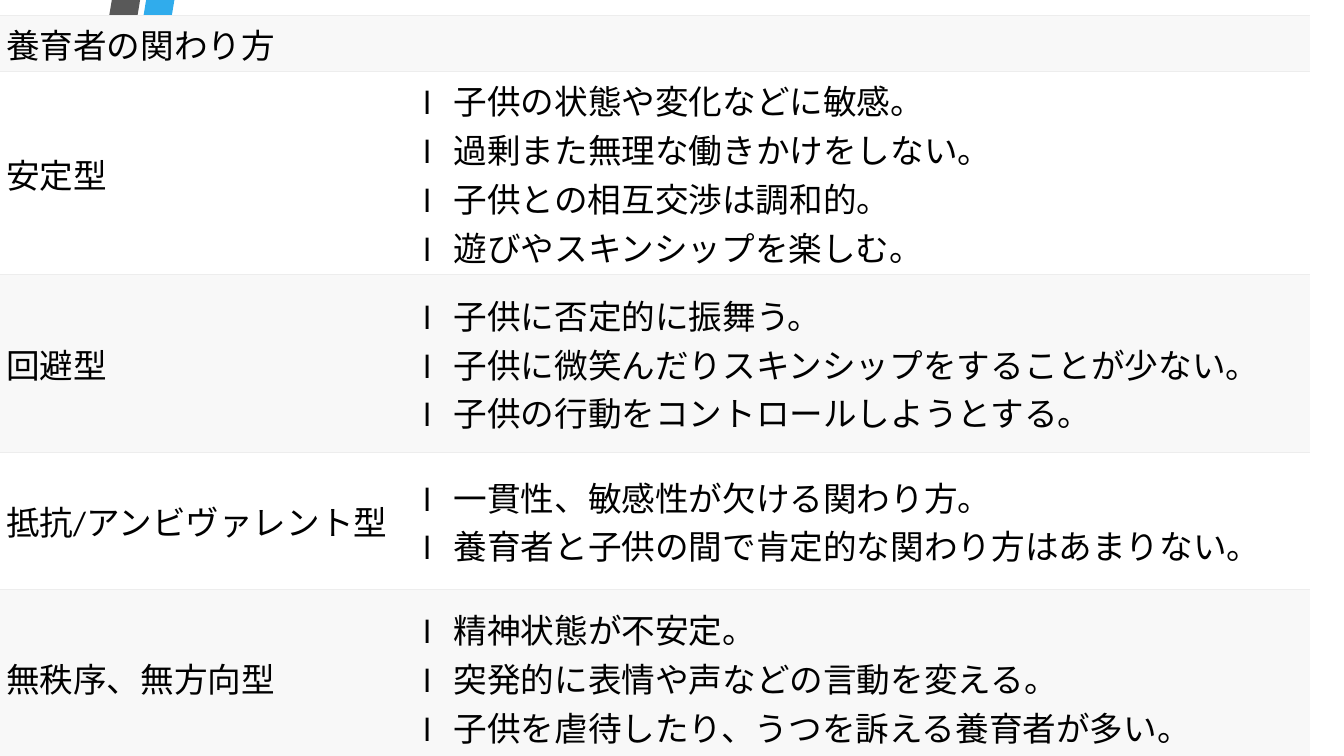
from dataclasses import dataclass

from lxml.etree import SubElement
from pptx import Presentation
from pptx.dml.color import RGBColor
from pptx.enum.lang import MSO_LANGUAGE_ID
from pptx.enum.text import MSO_ANCHOR
from pptx.oxml.ns import qn
from pptx.util import Inches, Pt


@dataclass(frozen=True)
class Theme:
    """Colours, font and sizes of the slide."""
    font: str = "Calibri"
    size: float = 24
    text: str = "000000"
    bands: tuple = ("F8F8F8", "FFFFFF")
    rule: str = "EDEDED"
    rule_width: float = 0.75
    end_rule: str = "008BE5"
    end_rule_width: float = 3.75
    light_blue: str = "30ACEC"
    blue: str = "1287C3"
    dark_blue: str = "0C5A82"
    light_grey: str = "595959"
    grey: str = "404040"
    dark_grey: str = "262626"


THEME = Theme()
WIDTH, HEIGHT = Inches(13.33), Inches(7.5)
GRID_COLUMNS, GRID_ROWS = 1333, 750
BULLET_INDENT = 30
TABLE_COLUMNS = (414, 885)
TABLE_ROWS = (56, 176, 176, 136, 176)

RIBBONS = (
    (THEME.light_blue, ((50, 578), (77, 583), (173, 0), (145, 0))),
    (THEME.light_grey, ((139, 0), (111, 0), (16, 573), (44, 577))),
    (THEME.dark_grey, ((16, 573), (145, 750), (151, 750))),
    (THEME.dark_blue, ((50, 579), (208, 750), (214, 750))),
    (THEME.blue, ((50, 579), (214, 750), (283, 750), (77, 583), (50, 578))),
    (THEME.grey, ((202, 750), (48, 583), (43, 578), (44, 577), (16, 573), (151, 750))),
)

TITLE = "養育者の関わり方"
TYPES = (
    ("安定型", ("子供の状態や変化などに敏感。", "過剰また無理な働きかけをしない。",
             "子供との相互交渉は調和的。", "遊びやスキンシップを楽しむ。")),
    ("回避型", ("子供に否定的に振舞う。", "子供に微笑んだりスキンシップをすることが少ない。",
             "子供の行動をコントロールしようとする。")),
    ("抵抗/アンビヴァレント型", ("一貫性、敏感性が欠ける関わり方。",
                      "養育者と子供の間で肯定的な関わり方はあまりない。")),
    ("無秩序、無方向型", ("精神状態が不安定。", "突発的に表情や声などの言動を変える。",
                  "子供を虐待したり、うつを訴える養育者が多い。")),
)


def across(columns):
    """Return the length of a number of grid columns."""
    return round(WIDTH * columns / GRID_COLUMNS)


def down(rows):
    """Return the length of a number of grid rows."""
    return round(HEIGHT * rows / GRID_ROWS)


def write_text(paragraph, text, *, size=THEME.size, color=THEME.text, indent=0,
               language=MSO_LANGUAGE_ID.JAPANESE):
    """Write one formatted run, with a hanging indent if asked."""
    run = paragraph.add_run()
    run.text = text
    run.font.name = THEME.font
    run.font.size = Pt(size)
    run.font.color.rgb = RGBColor.from_string(color)
    run.font.language_id = language
    if indent:
        properties = paragraph._p.get_or_add_pPr()
        properties.set("marL", str(across(indent)))
        properties.set("indent", str(-across(indent)))


def add_ribbon(slide, color, corners):
    """Draw one flat polygon of the folded ribbons."""
    points = [(across(x), down(y)) for x, y in corners]
    builder = slide.shapes.build_freeform(*points[0], scale=1.0)
    builder.add_line_segments(points[1:], close=True)
    shape = builder.convert_to_shape()
    shape.shadow.inherit = False
    shape.fill.solid()
    shape.fill.fore_color.rgb = RGBColor.from_string(color)
    shape.line.fill.background()


def add_border(cell, side, color=None, width=0):
    """Set one border of a cell, or clear it when no colour is given."""
    line = SubElement(cell._tc.get_or_add_tcPr(), qn(f"a:ln{side}"), w=str(Pt(width)))
    if color:
        fill = SubElement(line, qn("a:solidFill"))
        SubElement(fill, qn("a:srgbClr"), val=color)
    else:
        SubElement(line, qn("a:noFill"))


def style_cell(cell, band, last):
    """Give a cell its margins, borders and band colour."""
    cell.vertical_anchor = MSO_ANCHOR.MIDDLE
    cell.margin_left, cell.margin_right = across(6), across(7)
    cell.margin_top = cell.margin_bottom = down(4)
    add_border(cell, "L")
    add_border(cell, "R")
    add_border(cell, "T", THEME.rule, THEME.rule_width)
    if last:
        add_border(cell, "B", THEME.end_rule, THEME.end_rule_width)
    else:
        add_border(cell, "B", THEME.rule, THEME.rule_width)
    cell.fill.solid()
    cell.fill.fore_color.rgb = RGBColor.from_string(band)


def fill_points(cell, points):
    """Write the marked points of one type, one paragraph each."""
    frame = cell.text_frame
    for index, point in enumerate(points):
        paragraph = frame.add_paragraph() if index else frame.paragraphs[0]
        write_text(paragraph, f"l\t{point}", indent=BULLET_INDENT)


def add_types_table(slide):
    """Add the table of caregiver behaviour by attachment type."""
    frame = slide.shapes.add_table(
        len(TABLE_ROWS), len(TABLE_COLUMNS), 0, down(15),
        across(sum(TABLE_COLUMNS)), down(sum(TABLE_ROWS)))
    table = frame.table
    table.first_row = table.horz_banding = False
    for column, columns in zip(table.columns, TABLE_COLUMNS):
        column.width = across(columns)
    for index, (row, rows) in enumerate(zip(table.rows, TABLE_ROWS)):
        row.height = down(rows)
        for cell in row.cells:
            style_cell(cell, THEME.bands[index % 2], index == len(TABLE_ROWS) - 1)
    title = table.cell(0, 0)
    title.merge(table.cell(0, 1))
    write_text(title.text_frame.paragraphs[0], TITLE)
    for index, (name, points) in enumerate(TYPES, start=1):
        language = (MSO_LANGUAGE_ID.TAIWAN if index == len(TYPES)
                    else MSO_LANGUAGE_ID.JAPANESE) if hasattr(MSO_LANGUAGE_ID, "TAIWAN") \
            else MSO_LANGUAGE_ID.JAPANESE
        write_text(table.cell(index, 0).text_frame.paragraphs[0], name, language=language)
        fill_points(table.cell(index, 1), points)


def main():
    """Build and save the slide."""
    presentation = Presentation()
    presentation.slide_width, presentation.slide_height = WIDTH, HEIGHT
    slide = presentation.slides.add_slide(presentation.slide_layouts[6])
    for color, corners in RIBBONS:
        add_ribbon(slide, color, corners)
    add_types_table(slide)
    presentation.save("out.pptx")


if __name__ == "__main__":
    main()
